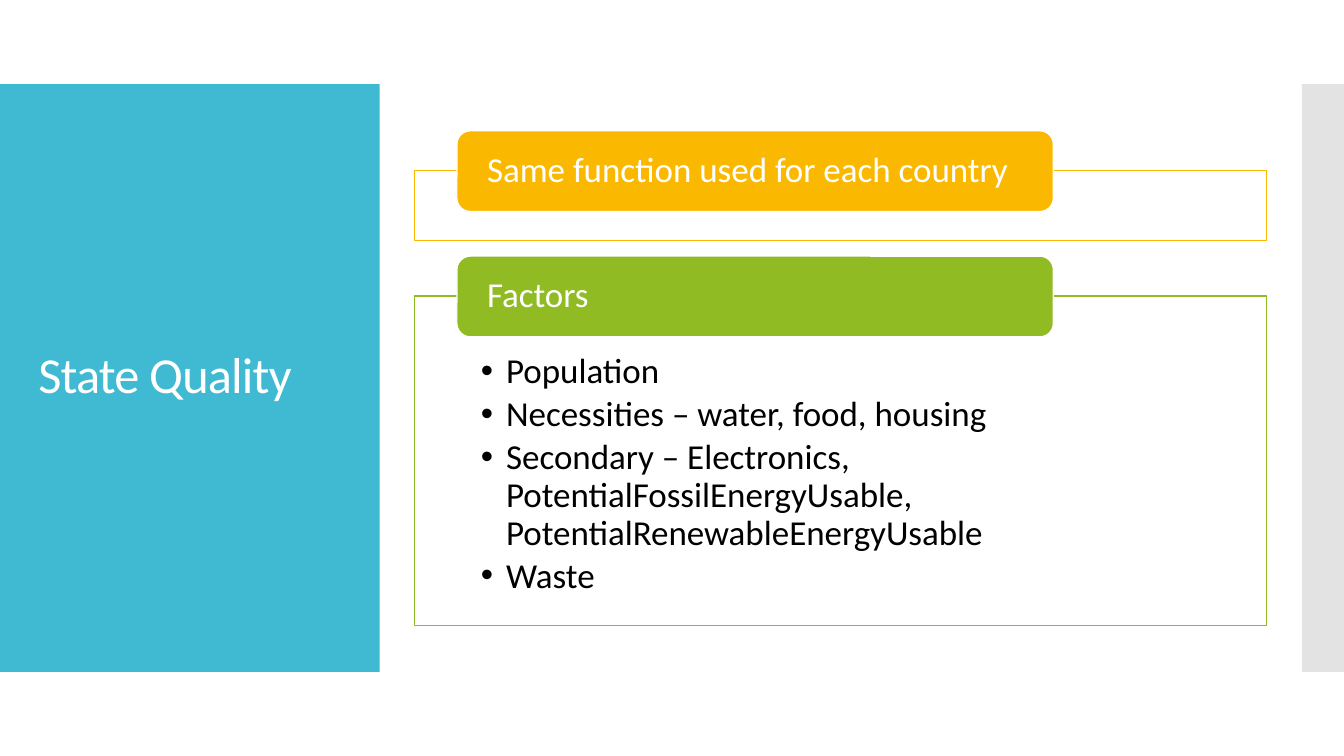
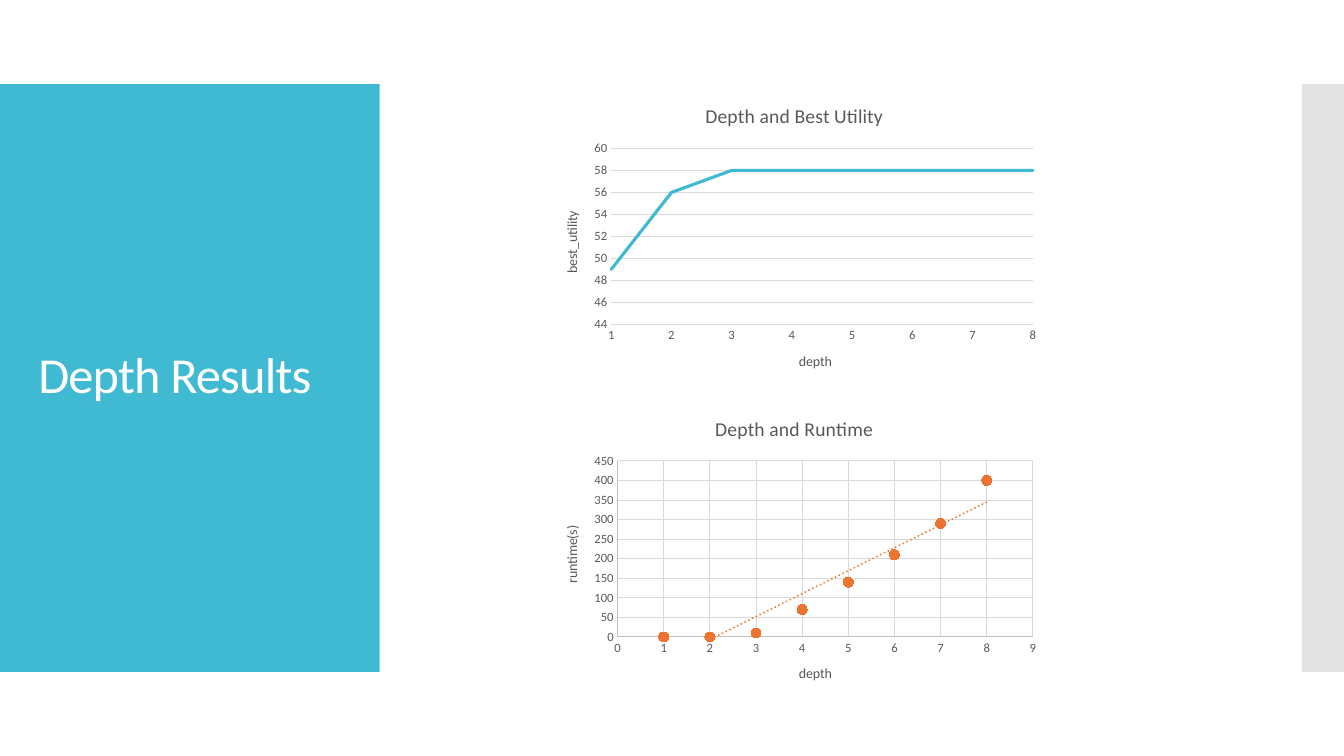
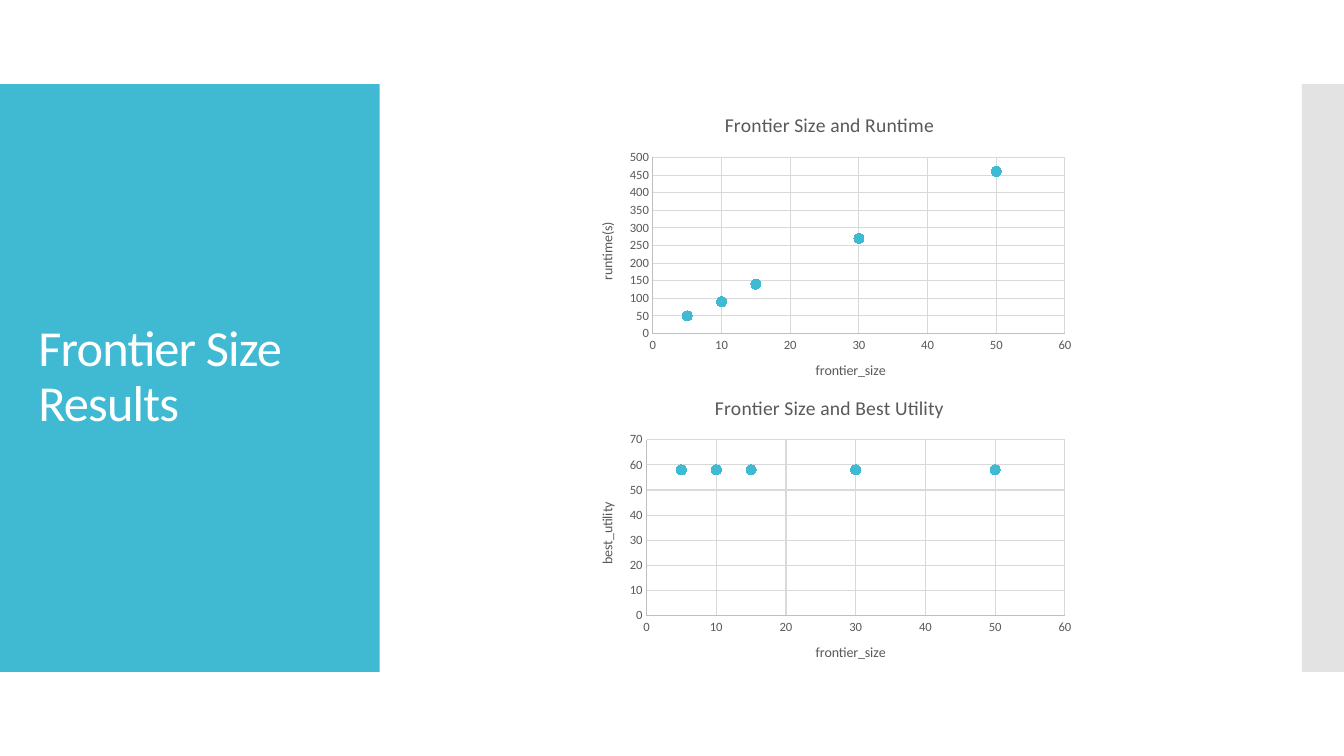
from lxml import etree
from pptx import Presentation
from pptx import util as u
from pptx.chart import data as cd
from pptx.dml import color as dc
from pptx.enum import chart as ec, dml, shapes, text
from pptx.oxml import ns

FONT = "Calibri"
TEAL, ORANGE, GOLD, GREEN = "40BAD2", "ED7331", "FAB900", "90BB23"
WHITE, BLACK, BAND = "FFFFFF", "000000", "E3E3E3"
INK, GRID, AXIS = "595959", "D9D9D9", "BFBFBF"
SIZES = [5, 10, 15, 30, 50]
DEPTHS = list(range(1, 9))


def hue(code):
    """Turn a hex string into a colour."""
    return dc.RGBColor.from_string(code)


def paint(fill, code):
    """Give a fill one solid colour."""
    fill.solid()
    fill.fore_color.rgb = hue(code)


def stroke(line, code, width=0.75):
    """Style a line, or hide it when there is no colour."""
    if code is None:
        line.fill.background()
        return
    paint(line.fill, code)
    line.width = u.Pt(width)


def style(font, size, code):
    """Set the face, size and colour of a font."""
    font.name, font.size, font.bold = FONT, u.Pt(size), False
    font.color.rgb = hue(code)


def box(slide, kind, place, fill, edge=None):
    """Add a flat preset shape."""
    shape = slide.shapes.add_shape(kind, *map(u.Pt, place))
    shape.shadow.inherit = False
    paint(shape.fill, fill)
    stroke(shape.line, edge, 0.85)
    return shape


def inset(frame, left, top, right, base):
    """Set wrapping and inner margins of a text frame."""
    frame.word_wrap = True
    frame.margin_left, frame.margin_top = u.Pt(left), u.Pt(top)
    frame.margin_right, frame.margin_bottom = u.Pt(right), u.Pt(base)


def write(para, words, size, code):
    """Add one left-aligned run to a paragraph."""
    para.alignment = text.PP_ALIGN.LEFT
    para.line_spacing = 0.9
    run = para.add_run()
    run.text = words
    style(run.font, size, code)
    return run


def start(deck, words):
    """Add a slide with its side bands and title."""
    slide = deck.slides.add_slide(deck.slide_layouts[5])
    rect = shapes.MSO_SHAPE.RECTANGLE
    box(slide, rect, (0, 60, 271.2, 420), TEAL)
    box(slide, rect, (930, 60, 30, 420), BAND)
    title = slide.shapes.title
    title.left, title.top = u.Pt(20.16), u.Pt(88.56)
    title.width, title.height = u.Pt(231.84), u.Pt(362.16)
    frame = title.text_frame
    inset(frame, 7.2, 3.6, 7.2, 3.6)
    frame.auto_size = text.MSO_AUTO_SIZE.NONE
    frame.vertical_anchor = text.MSO_ANCHOR.MIDDLE
    run = write(frame.paragraphs[0], words, 36, WHITE)
    run.font._element.set("spc", "-60")
    slide.shapes._spTree.append(title._element)
    return slide


def bullet(para):
    """Give a paragraph a hanging round bullet."""
    props = para._p.get_or_add_pPr()
    props.set("marL", str(u.Pt(18)))
    props.set("indent", str(-u.Pt(18)))
    etree.SubElement(props, ns.qn("a:buFont")).set("typeface", "Arial")
    etree.SubElement(props, ns.qn("a:buChar")).set("char", "•")


def panel(slide, top, height, code, head, items=()):
    """Add an outlined panel with a heading tab and bullets."""
    body = box(slide, shapes.MSO_SHAPE.RECTANGLE,
               (296, top, 608.4, height), WHITE, code)
    frame = body.text_frame
    inset(frame, 47.5, 41, 47.5, 13.7)
    frame.vertical_anchor = text.MSO_ANCHOR.TOP
    for num, item in enumerate(items):
        para = frame.add_paragraph() if num else frame.paragraphs[0]
        bullet(para)
        para.space_after = u.Pt(3.75)
        write(para, item, 25, BLACK)
    tab = box(slide, shapes.MSO_SHAPE.ROUNDED_RECTANGLE,
              (326.4, top - 28.5, 426, 57.6), code, WHITE)
    inset(tab.text_frame, 18.7, 0, 18.7, 0)
    tab.text_frame.vertical_anchor = text.MSO_ANCHOR.MIDDLE
    write(tab.text_frame.paragraphs[0], head, 25, WHITE)


def label(frame, words, size):
    """Write a chart or axis title."""
    run = frame.paragraphs[0].add_run()
    run.text = words
    style(run.font, size, INK)


def rule(axis, words, line, grid, span=None):
    """Format an axis; span holds low, high and step."""
    axis.has_major_gridlines = grid
    if grid:
        stroke(axis.major_gridlines.format.line, GRID)
    axis.major_tick_mark = axis.minor_tick_mark = ec.XL_TICK_MARK.NONE
    stroke(axis.format.line, line)
    style(axis.tick_labels.font, 9, INK)
    label(axis.axis_title.text_frame, words, 10)
    if span:
        axis.minimum_scale, axis.maximum_scale, axis.major_unit = span


def plot(slide, kind, data, left, top, title):
    """Add a chart with a title and an upright value axis title."""
    size = u.Pt(360), u.Pt(216)
    chart = slide.shapes.add_chart(
        kind, u.Pt(left), u.Pt(top), *size, data).chart
    style(chart.font, 10, BLACK)
    chart.has_legend = False
    chart.has_title = True
    label(chart.chart_title.text_frame, title, 14)
    chart.chart_title.include_in_layout = False
    chart.plots[0].vary_by_categories = False
    frame = chart.value_axis.axis_title.text_frame
    props = frame._txBody.bodyPr
    props.set("rot", "-5400000")
    props.set("vert", "horz")
    return chart


def curve(slide, left, top, title, names, cats, vals, span):
    """Add a line chart that starts on the value axis."""
    data = cd.CategoryChartData()
    data.categories = [str(cat) for cat in cats]
    data.add_series("Series 1", vals)
    chart = plot(slide, ec.XL_CHART_TYPE.LINE, data, left, top, title)
    rule(chart.category_axis, names[0], GRID, False)
    rule(chart.value_axis, names[1], None, True, span)
    line = chart.plots[0].series[0]
    line.smooth = False
    line.marker.style = ec.XL_MARKER_STYLE.NONE
    stroke(line.format.line, TEAL, 2.25)
    line.format.line._get_or_add_ln().set("cap", "rnd")
    axis = chart.value_axis._element
    for old in axis.findall(ns.qn("c:crossBetween")):
        axis.remove(old)
    cross = etree.Element(ns.qn("c:crossBetween"), val="midCat")
    axis.find(ns.qn("c:crosses")).addnext(cross)


def trend(series, code):
    """Add a dotted linear trend line to a series."""
    node = etree.Element(ns.qn("c:trendline"))
    props = etree.SubElement(node, ns.qn("c:spPr"))
    line = etree.SubElement(props, ns.qn("a:ln"), w=str(u.Pt(1.5)), cap="rnd")
    fill = etree.SubElement(line, ns.qn("a:solidFill"))
    etree.SubElement(fill, ns.qn("a:srgbClr"), val=code)
    etree.SubElement(line, ns.qn("a:prstDash"), val="sysDot")
    for tag, val in (("trendlineType", "linear"), ("dispRSqr", "0"),
                     ("dispEq", "0")):
        etree.SubElement(node, ns.qn("c:" + tag), val=val)
    series._element.find(ns.qn("c:xVal")).addprevious(node)


def dots(slide, left, top, title, names, xs, ys, spans, code=TEAL):
    """Add a scatter chart of round markers and return its series."""
    data = cd.XyChartData()
    points = data.add_series("Series 1")
    for x, y in zip(xs, ys):
        points.add_data_point(x, y)
    chart = plot(slide, ec.XL_CHART_TYPE.XY_SCATTER, data, left, top, title)
    axes = chart.category_axis, chart.value_axis
    for axis, name, span in zip(axes, names, spans):
        rule(axis, name, AXIS, True, span)
    series = chart.plots[0].series[0]
    stroke(series.format.line, None)
    mark = series.marker
    mark.style, mark.size = ec.XL_MARKER_STYLE.CIRCLE, 7
    paint(mark.format.fill, code)
    stroke(mark.format.line, code)
    return series


def state(deck):
    """Build the state quality slide."""
    slide = start(deck, "State Quality")
    panel(slide, 122, 49.7, GOLD, "Same function used for each country")
    panel(slide, 211.5, 235.4, GREEN, "Factors", (
        "Population",
        "Necessities – water, food, housing",
        "Secondary – Electronics, PotentialFossilEnergyUsable, "
        "PotentialRenewableEnergyUsable",
        "Waste"))


def depth(deck):
    """Build the depth results slide."""
    slide = start(deck, "Depth Results")
    series = dots(slide, 387.36, 285.84, "Depth and Runtime",
                  ("depth", "runtime(s)"), DEPTHS,
                  [0, 0, 10, 70, 140, 210, 290, 400],
                  ((0, 9, 1), (0, 450, 50)), ORANGE)
    trend(series, ORANGE)
    curve(slide, 387.36, 62.64, "Depth and Best Utility",
          ("depth", "best_utility"), DEPTHS,
          [49, 56] + [58] * 6, (44, 60, 2))


def front(deck):
    """Build the frontier size results slide."""
    slide = start(deck, "Frontier Size Results")
    wide = (0, 60, 10)
    dots(slide, 412.56, 69.12, "Frontier Size and Runtime",
         ("frontier_size", "runtime(s)"), SIZES,
         [50, 90, 140, 270, 460], (wide, (0, 500, 50)))
    dots(slide, 412.56, 270.72, "Frontier Size and Best Utility",
         ("frontier_size", "best_utility"), SIZES,
         [58] * 5, (wide, (0, 70, 10)))


def main():
    """Build and save the deck."""
    deck = Presentation()
    deck.slide_width, deck.slide_height = u.Pt(960), u.Pt(540)
    for build in (state, depth, front):
        build(deck)
    deck.save("out.pptx")


if __name__ == "__main__":
    main()
